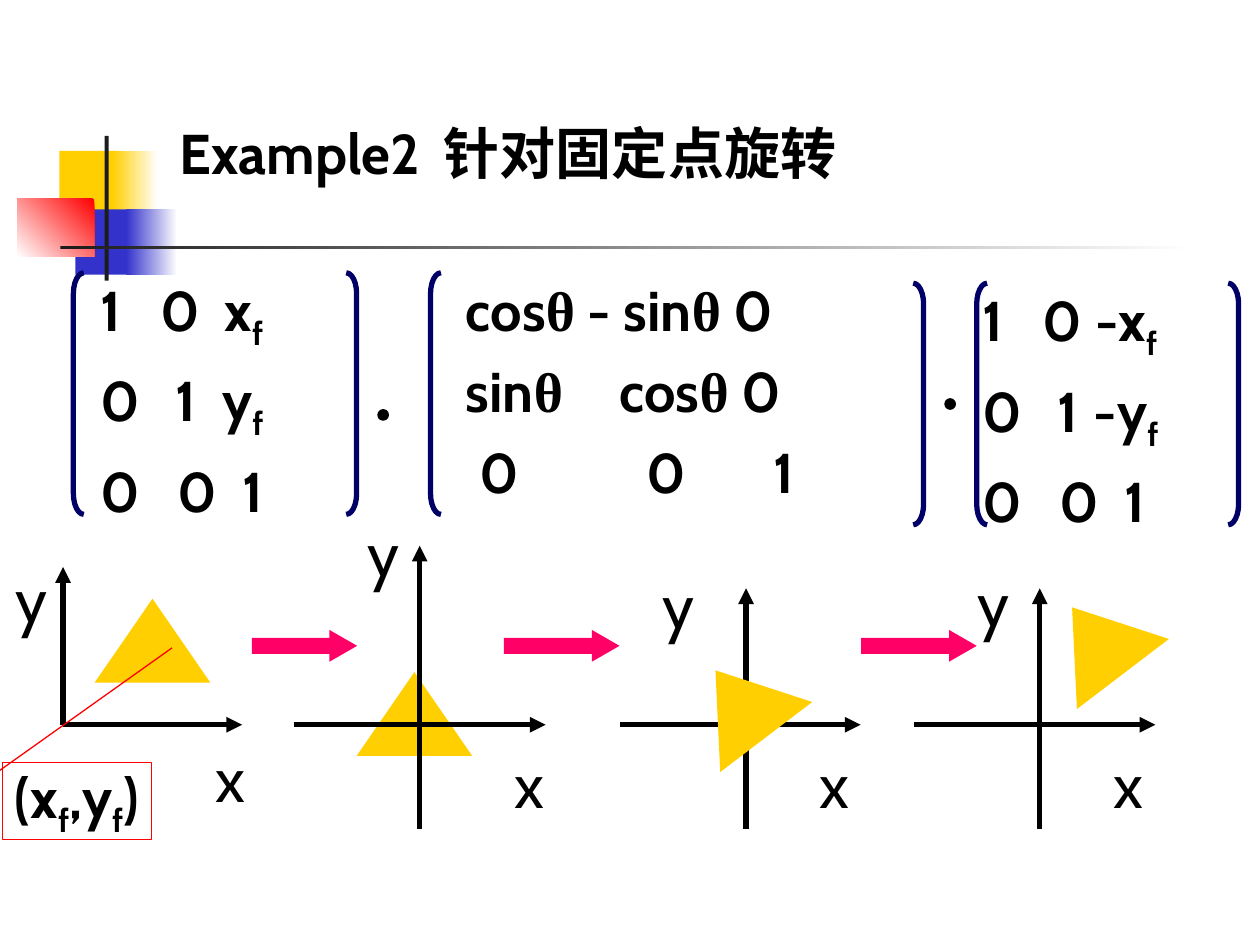
from itertools import groupby

from lxml.etree import SubElement as Sub
from pptx import Presentation
from pptx.dml.color import RGBColor
from pptx.enum.shapes import MSO_CONNECTOR as Conn, MSO_SHAPE as Kind
from pptx.enum.text import MSO_ANCHOR as Anchor, PP_ALIGN as Align
from pptx.oxml.ns import qn
from pptx.util import Cm, Pt

BLACK, WHITE, GOLD, BLUE = "000000", "FFFFFF", "FFCF01", "3333CC"
RED, NAVY, PINK, DARK = "FF0000", "000066", "FF0066", "1C1C1C"


def tint(text):
    return RGBColor.from_string(text)


def form(shapes, kind, box, fill=None, line=None, width=0.75, adj=()):
    """Add a preset shape; a fill of (colour, colour, angle) is a gradient."""
    part = shapes.add_shape(kind, *map(Cm, box))
    part.shadow.inherit = False
    for i, size in enumerate(adj):
        part.adjustments[i] = size
    if fill is None:
        part.fill.background()
    elif isinstance(fill, tuple):
        *tones, angle = fill
        part.fill.gradient()
        part.fill.gradient_angle = angle
        for stop, tone in zip(part.fill.gradient_stops, tones):
            stop.color.rgb = tint(tone)
    else:
        part.fill.solid()
        part.fill.fore_color.rgb = tint(fill)
    if line:
        part.line.color.rgb = tint(line)
        part.line.width = Pt(width)
    else:
        part.line.fill.background()
    return part


def write(para, text, size, bold=False, stops=()):
    """Fill a paragraph; f is set as a subscript and θ in a serif font."""
    if stops:
        tabs = Sub(para._p.get_or_add_pPr(), qn("a:tabLst"))
        for stop in stops:
            Sub(tabs, qn("a:tab"), pos=str(Cm(stop)), algn="l")
    font = para.font
    font.size, font.bold, font.name = Pt(size), bold, "Cabin"
    font.color.rgb = tint(BLACK)
    for mark, chars in groupby(text, lambda c: c if c in "fθ" else ""):
        run = para.add_run()
        run.text = "".join(chars)
        if mark == "f":
            run._r.get_or_add_rPr().set("baseline", "-25000")
        elif mark == "θ":
            run.font.name = "Times New Roman"


def tight(frame):
    """Centre unwrapped text in a frame without insets."""
    frame.margin_left = frame.margin_right = 0
    frame.margin_top = frame.margin_bottom = 0
    frame.word_wrap = False
    frame.vertical_anchor = Anchor.MIDDLE
    para = frame.paragraphs[0]
    para.alignment = Align.CENTER
    return para


def label(shapes, text, x, y):
    box = shapes.add_textbox(Cm(x), Cm(y), Cm(0.67), Cm(1.52))
    write(tight(box.text_frame), text, 36)


def axis(shapes, start, stop, end):
    rule = shapes.add_connector(Conn.STRAIGHT, *map(Cm, start + stop))
    rule.line.color.rgb = tint(BLACK)
    rule.line.width = Pt(3)
    Sub(rule.line._get_or_add_ln(), qn("a:" + end), type="triangle")
    Sub(rule._element.spPr, qn("a:effectLst"))


def header(shapes, x, y):
    """Coloured blocks, the two rules and the title."""
    blocks = [
        (0.85, 0.3, 1.22, 1.32, GOLD),
        (1.92, 0.3, 0.91, 1.32, (GOLD, WHITE, 0)),
        (1.17, 1.48, 1.17, 1.32, BLUE),
        (2.2, 1.48, 1.02, 1.32, (BLUE, WHITE, 0)),
        (0, 1.27, 1.55, 1.17, (RED, WHITE, 225)),
        (1.76, 0, 0.08, 2.92, DARK),
        (0.87, 2.21, 22.86, 0.08, (DARK, WHITE, 0)),
    ]
    for left, top, wide, high, fill in blocks:
        form(shapes, Kind.RECTANGLE, (x + left, y + top, wide, high), fill)
    box = shapes.add_textbox(Cm(x + 3.02), Cm(y - 1.62), Cm(18.19), Cm(2.74))
    box.text_frame.word_wrap = True
    box.text_frame.vertical_anchor = Anchor.BOTTOM
    write(box.text_frame.paragraphs[0], "Example2\t针对固定点旋转", 32, True, [5.33])


def matrix(shapes, box, inset, rows, left, right):
    """Rows of (text, tab stops) between brackets at (x, y) offsets."""
    x, y, wide, high = box
    area = shapes.add_textbox(*map(Cm, box))
    frame = area.text_frame
    frame.word_wrap = True
    frame.margin_left, frame.margin_top = Cm(inset), Cm(0.26)
    for i, (text, stops) in enumerate(rows):
        para = frame.add_paragraph() if i else frame.paragraphs[0]
        if i:
            para.space_before = Pt(8)
        write(para, text, 32, True, stops)
    for kind, (dx, dy) in ((Kind.LEFT_BRACKET, left), (Kind.RIGHT_BRACKET, right)):
        form(shapes, kind, (x + dx, y + dy, 0.21, 4.87), None, NAVY, 3, [2])


def plot(shapes, box, origin, shape, xtext, ytext, turn=0, under=False):
    """Axes, triangle and axis names; offsets are taken from the origin."""
    x, y, wide, high = box
    ox, oy = x + origin[0], y + origin[1]
    group = shapes.add_group_shape().shapes

    def wedge():
        spot = (ox + shape[0], oy + shape[1], 2.33, 1.69)
        form(group, Kind.ISOSCELES_TRIANGLE, spot, GOLD).rotation = turn

    if under:
        wedge()
    axis(group, (x, oy), (x + wide, oy), "tailEnd")
    axis(group, (ox, y), (ox, y + high), "headEnd")
    if not under:
        wedge()
    label(group, "x", ox + xtext[0], oy + xtext[1])
    label(group, "y", ox + ytext[0], oy + ytext[1])


def note(shapes, box):
    """Callout that names the fixed point."""
    part = form(shapes, Kind.LINE_CALLOUT_1, box, None, RED,
                adj=[0.19, -0.08, -1.49, 1.14])
    write(tight(part.text_frame), "(xf,yf)", 32, True)


def main():
    deck = Presentation()
    deck.slide_width, deck.slide_height = Cm(25.4), Cm(19.05)
    shapes = deck.slides.add_slide(deck.slide_layouts[6]).shapes
    header(shapes, 0.35, 2.74)

    # Plots from the start to the end of the transformation
    plot(shapes, (1.27, 11.43, 3.61, 3.18), (0, 3.18),
         (0.64, -2.54), (3.05, 0.3), (-0.97, -3.3))
    note(shapes, (0.05, 15.37, 3, 1.55))
    plot(shapes, (5.92, 11, 5.08, 5.71), (2.54, 3.61),
         (-1.27, -1.06), (1.88, 0.43), (-1.07, -4.24), under=True)
    plot(shapes, (12.5, 11.86, 4.85, 4.85), (2.54, 2.75),
         (-1.27, -1.27), (1.45, 0.43), (-1.7, -3.18), 322.7)
    plot(shapes, (18.42, 11.86, 4.87, 4.85), (2.54, 2.75),
         (0, -2.54), (1.45, 0.43), (-1.27, -3.23), 322.7)

    # Steps between the plots
    for x, wide in ((5.08, 2.12), (10.16, 2.33), (17.36, 2.33)):
        form(shapes, Kind.RIGHT_ARROW, (x, 12.7, wide, 0.64), PINK, adj=[0.5, 0.87])

    # Product of the three matrices
    matrix(shapes, (1.27, 5.29, 6.56, 5.5), 0.76,
           [("1\t0\txf", [1.2, 2.5]), ("0\t1\tyf", [1.5, 2.45]),
            ("0\t0\t1", [1.55, 2.85])], (0.21, 0.21), (5.71, 0.21))
    matrix(shapes, (8.89, 5.29, 9.1, 5.5), 0.5,
           [("cosθ - sinθ 0", []), ("sinθ\tcosθ 0", [3.1]),
            ("\t0\t0\t1", [0.28, 3.65, 6.2])], (-0.21, 0.21), (9.52, 0.42))
    matrix(shapes, (19.05, 5.5, 6.56, 5.5), 0.76,
           [("1\t0\t-xf", [1.2, 2.28]), ("0\t1\t-yf", [1.5, 2.24]),
            ("0\t0\t1", [1.55, 2.85])], (0.64, 0.21), (5.71, 0.21))
    for x, y in ((7.62, 8.26), (19.05, 8.04)):
        form(shapes, Kind.OVAL, (x, y, 0.21, 0.21), BLACK, BLACK)

    deck.save("out.pptx")


if __name__ == "__main__":
    main()
